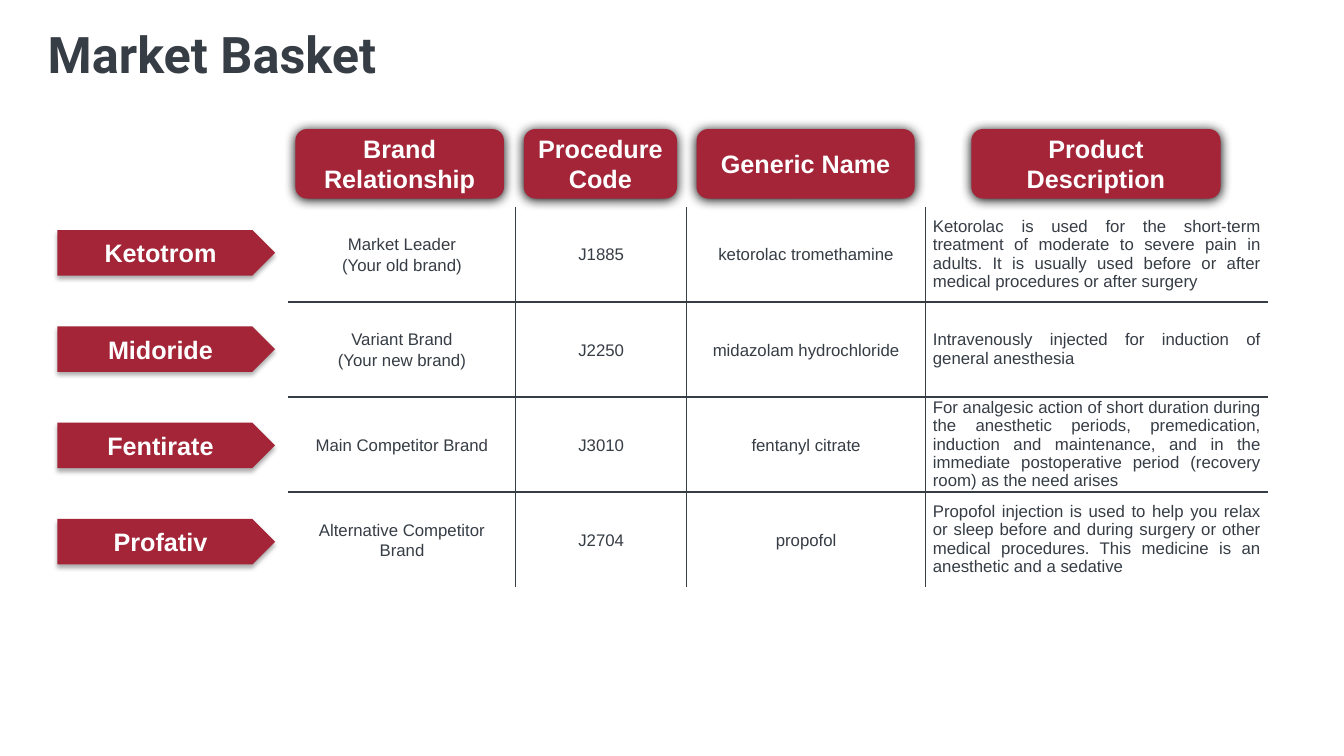
from dataclasses import dataclass
from lxml import etree
from pptx import Presentation
from pptx.dml.color import RGBColor
from pptx.enum.shapes import MSO_SHAPE as Shape
from pptx.enum.text import MSO_ANCHOR as Anchor, MSO_AUTO_SIZE as AutoSize, PP_ALIGN as Align
from pptx.oxml import parse_xml
from pptx.oxml.ns import nsdecls, qn
from pptx.util import Pt


@dataclass(frozen=True)
class Theme:
    ink: str = "363D45"
    red: str = "A32537"
    white: str = "FFFFFF"
    black: str = "000000"
    title_font: str = "Roboto"
    body_font: str = "Arial"
    title_size: float = 36
    label_size: float = 18
    body_size: float = 12


theme = Theme()


def write(frame, text, size=theme.body_size, color=theme.ink, font=theme.body_font,
          bold=False, align=Align.CENTER, spacing=1.0):
    frame.word_wrap = True
    for index, line in enumerate(text.split("\n")):
        para = frame.paragraphs[0] if index == 0 else frame.add_paragraph()
        para.alignment = align
        para.line_spacing = spacing
        para.space_before = Pt(0)
        span = para.add_run()
        span.text = line
        span.font.name = font
        span.font.size = Pt(size)
        span.font.bold = bold
        span.font.color.rgb = RGBColor.from_string(color)


def add_label(kind, text, left, top, width, height, blur, distance, opacity):
    label = page.shapes.add_shape(kind, Pt(left), Pt(top), Pt(width), Pt(height))
    label.fill.solid()
    label.fill.fore_color.rgb = RGBColor.from_string(theme.red)
    label.line.fill.background()
    label.shadow.inherit = False
    effects = label._element.spPr.find(qn("a:effectLst"))
    effects.append(parse_xml(
        f'<a:outerShdw {nsdecls("a")} blurRad="{Pt(blur)}" dist="{Pt(distance)}" '
        f'dir="5400000" algn="ctr" rotWithShape="0"><a:srgbClr val="{theme.black}">'
        f'<a:alpha val="{opacity * 1000}"/></a:srgbClr></a:outerShdw>'))
    label.text_frame.vertical_anchor = Anchor.MIDDLE
    write(label.text_frame, text, size=theme.label_size, color=theme.white, bold=True)


deck = Presentation()
deck.slide_width, deck.slide_height = Pt(960), Pt(540)
page = deck.slides.add_slide(deck.slide_layouts[5])

title = page.shapes.title
title.left, title.top, title.width, title.height = Pt(26.9), Pt(18), Pt(828), Pt(62)
title.text_frame.auto_size = AutoSize.NONE
title.text_frame.vertical_anchor = Anchor.TOP
write(title.text_frame, "Market Basket", size=theme.title_size, font=theme.title_font,
      bold=True, align=Align.LEFT, spacing=0.9)

products = [
    ("Ketotrom", "Market Leader\n(Your old brand)", "J1885", "ketorolac tromethamine",
     "Ketorolac is used for the short-term treatment of moderate to severe pain in adults. "
     "It is usually used before or after medical procedures or after surgery"),
    ("Midoride", "Variant Brand\n(Your new brand)", "J2250", "midazolam hydrochloride",
     "Intravenously injected for induction of general anesthesia"),
    ("Fentirate", "Main Competitor Brand", "J3010", "fentanyl citrate",
     "For analgesic action of short duration during the anesthetic periods, premedication, "
     "induction and maintenance, and in the immediate postoperative period (recovery room) "
     "as the need arises"),
    ("Profativ", "Alternative Competitor Brand", "J2704", "propofol",
     "Propofol injection is used to help you relax or sleep before and during surgery or other "
     "medical procedures. This medicine is an anesthetic and a sedative"),
]
column_widths = [162.5, 122.1, 170.7, 244.7]
row_height = 67.9
last_row, last_column = len(products) - 1, len(column_widths) - 1

table = page.shapes.add_table(len(products), len(column_widths), Pt(205.9), Pt(147.8),
                              Pt(sum(column_widths)), Pt(row_height * len(products))).table
table.first_row = False
table.horz_banding = False
for column, width in zip(table.columns, column_widths):
    column.width = Pt(width)

for row, (brand, *details) in enumerate(products):
    table.rows[row].height = Pt(row_height)
    for column, text in enumerate(details):
        cell = table.cell(row, column)
        cell.margin_left = cell.margin_right = Pt(5.2)
        cell.margin_top = cell.margin_bottom = Pt(0)
        cell.vertical_anchor = Anchor.MIDDLE
        edges = {"lnL": column > 0, "lnR": column < last_column,
                 "lnT": row > 0, "lnB": row < last_row}
        for edge, drawn in edges.items():
            border = etree.SubElement(cell._tc.get_or_add_tcPr(), qn(f"a:{edge}"), w=str(Pt(1)))
            if drawn:
                paint = etree.SubElement(border, qn("a:solidFill"))
                etree.SubElement(paint, qn("a:srgbClr"), val=theme.ink)
            else:
                etree.SubElement(border, qn("a:noFill"))
        cell.fill.background()
        if column == last_column:
            write(cell.text_frame, text, align=Align.JUSTIFY, spacing=0.97)
        else:
            write(cell.text_frame, text, spacing=1.07)
    add_label(Shape.PENTAGON, brand, 41, 164.3 + 68.8 * row, 155.5, 32.5,
              blur=3.5, distance=2.2, opacity=32)

headers = [
    ("Brand\nRelationship", 211, 149),
    ("Procedure\nCode", 374.2, 109.4),
    ("Generic Name", 497.6, 155.8),
    ("Product Description", 693.8, 178),
]
for text, left, width in headers:
    add_label(Shape.ROUNDED_RECTANGLE, text, left, 92.2, width, 49.6,
              blur=8.5, distance=1, opacity=100)

deck.save("out.pptx")
